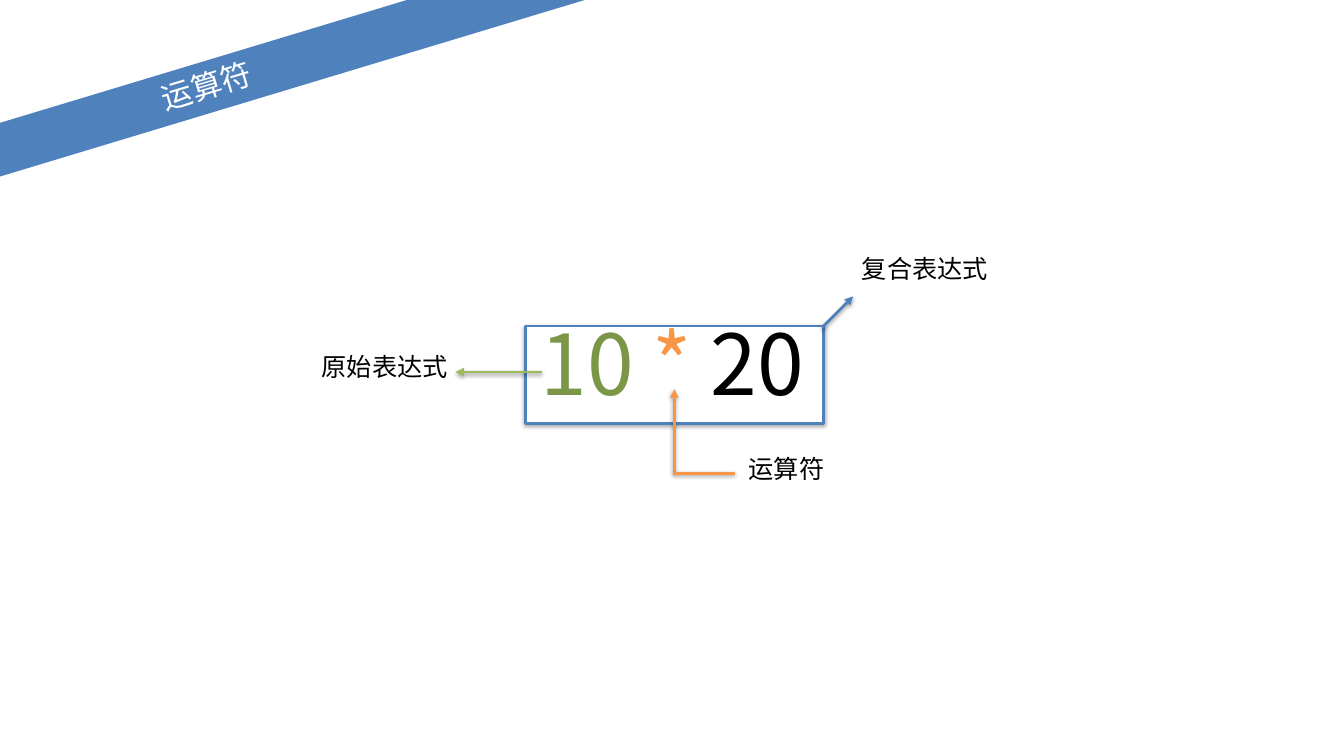
from lxml.etree import SubElement as Sub
from pptx import Presentation
from pptx.dml.color import RGBColor
from pptx.enum.shapes import MSO_CONNECTOR as Conn, MSO_SHAPE as Kind
from pptx.enum.text import MSO_ANCHOR as Anchor, MSO_AUTO_SIZE as Fit, PP_ALIGN as Align
from pptx.oxml.ns import qn
from pptx.util import Cm, Pt

BLUE = RGBColor(0x4F, 0x81, 0xBD)
GREEN = RGBColor(0x9B, 0xBB, 0x59)
OLIVE = RGBColor(0x7C, 0x96, 0x47)
ORANGE = RGBColor(0xF7, 0x96, 0x46)
WHITE = RGBColor(0xFF, 0xFF, 0xFF)
BLACK = RGBColor(0x00, 0x00, 0x00)


def apply(item, form):
    for key, value in form.items():
        setattr(item, key, value)


def margins(size):
    return {f"margin_{side}": Cm(size) for side in ("left", "top", "right", "bottom")}


class Board:
    font = "Noto Sans CJK SC"
    weight = Pt(4)
    para = {"alignment": Align.CENTER, "line_spacing": 0.9}
    band = {"word_wrap": True, "auto_size": Fit.NONE,
            "vertical_anchor": Anchor.MIDDLE, **margins(0)}
    loose = {"word_wrap": False, "auto_size": Fit.SHAPE_TO_FIT_TEXT,
             "vertical_anchor": Anchor.TOP, **margins(0.25)}

    def __init__(self, slide):
        self.slide = slide
        self.shapes = slide.shapes

    def letter(self, frame, runs, size, form):
        apply(frame, form)
        para = frame.paragraphs[0]
        apply(para, self.para)
        for text, color in runs:
            run = para.add_run()
            run.text = text
            apply(run.font, {"name": self.font, "size": Pt(size)})
            run.font.color.rgb = color
            Sub(run.font._element, qn("a:ea"), typeface=self.font)

    def shade(self, props, alpha):
        effects = props.find(qn("a:effectLst"))
        if effects is None:
            effects = Sub(props, qn("a:effectLst"))
        shadow = Sub(effects, qn("a:outerShdw"), blurRad=str(Pt(6)),
                     dist=str(Pt(3)), dir="5400000", rotWithShape="0")
        color = Sub(shadow, qn("a:srgbClr"), val=str(BLACK))
        Sub(color, qn("a:alpha"), val=str(alpha * 1000))

    def title(self, text, left, top, width, height, angle):
        band = self.shapes.title
        apply(band, {"left": Cm(left), "top": Cm(top), "width": Cm(width),
                     "height": Cm(height), "rotation": angle})
        band.fill.solid()
        band.fill.fore_color.rgb = BLUE
        self.letter(band.text_frame, [(text, WHITE)], 43.8, self.band)

    def frame(self, left, top, width, height):
        box = self.shapes.add_shape(Kind.RECTANGLE, Cm(left), Cm(top), Cm(width), Cm(height))
        box.fill.solid()
        box.fill.fore_color.rgb = WHITE
        box.line.color.rgb = BLUE
        box.line.width = self.weight
        box.shadow.inherit = False
        self.shade(box._element.spPr, 35)

    def text(self, runs, left, top, width, height, size):
        box = self.shapes.add_textbox(Cm(left), Cm(top), Cm(width), Cm(height))
        self.letter(box.text_frame, runs, size, self.loose)

    def label(self, text, left, top, width):
        self.text([(text, BLACK)], left, top, width, 2.16, 36)

    def line(self, start, end, color, arrow=True):
        ends = [Cm(value) for value in (*start, *end)]
        link = self.shapes.add_connector(Conn.STRAIGHT, *ends)
        link.line.color.rgb = color
        link.line.width = self.weight
        props = link._element.spPr
        if arrow:
            Sub(props.find(qn("a:ln")), qn("a:tailEnd"), type="triangle")
        self.shade(props, 38)


def main():
    deck = Presentation()
    apply(deck, {"slide_width": Cm(67.74), "slide_height": Cm(38.1)})
    board = Board(deck.slides.add_slide(deck.slide_layouts[5]))

    board.title("运算符", -12.67, 3.1, 46.2, 2.59, -16.8)
    board.frame(26.47, 16.43, 15.04, 4.9)
    board.text([("10 ", OLIVE), ("*", ORANGE), (" 20", BLACK)], 26.42, 16, 14.91, 6.07, 120)

    board.line((33.99, 23.77), (33.99, 19.61), ORANGE)
    board.line((33.93, 23.85), (37.03, 23.85), ORANGE, arrow=False)
    board.label("运算符", 37.47, 22.76, 4.34)

    board.line((41.43, 16.51), (43, 14.94), BLUE)
    board.label("复合表达式", 43.18, 12.67, 6.88)

    board.line((27.33, 18.75), (22.96, 18.75), GREEN)
    board.label("原始表达式", 15.95, 17.65, 6.88)

    deck.save("out.pptx")


if __name__ == "__main__":
    main()
